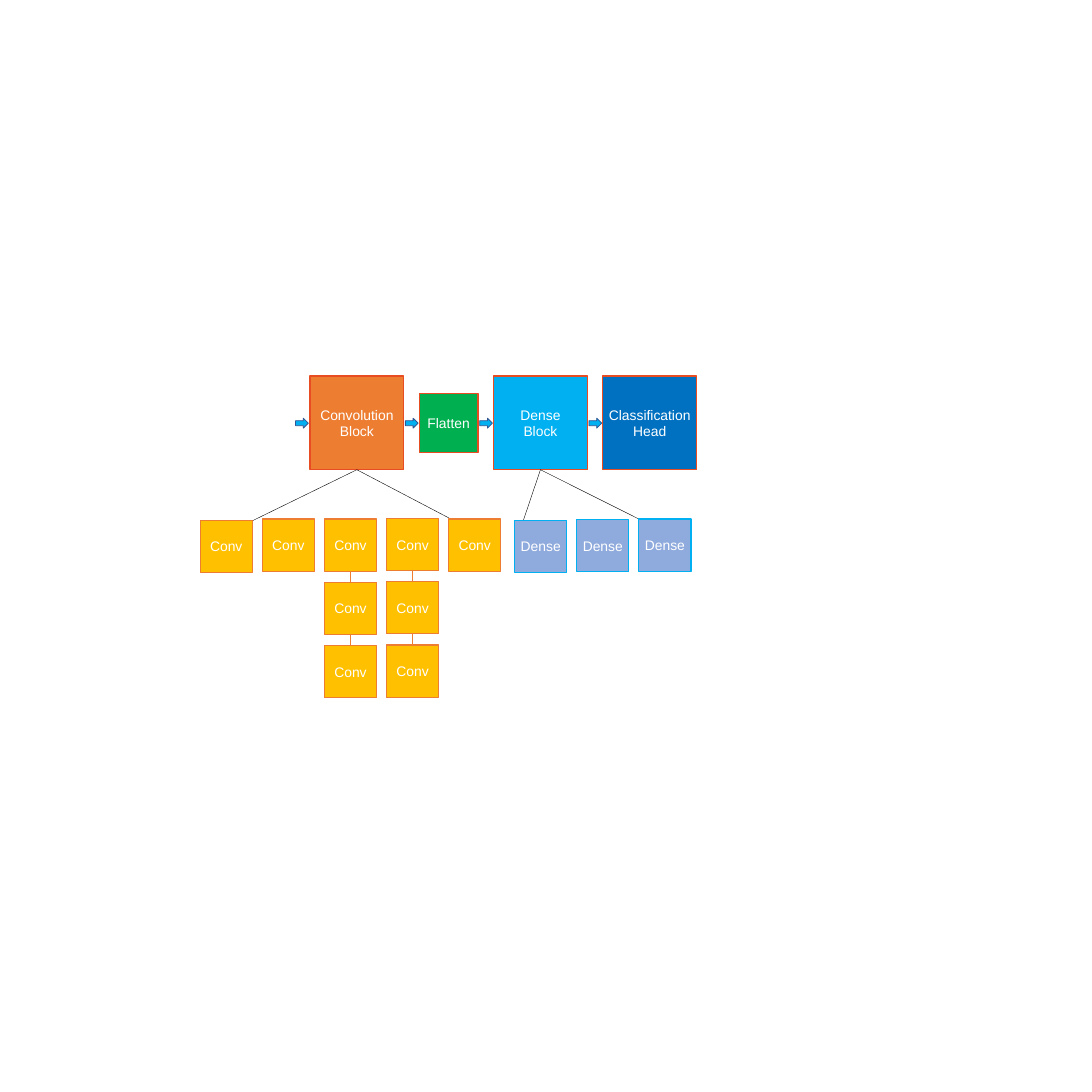
import pptx
import pptx.util
import pptx.dml.color
import pptx.enum.shapes
import pptx.enum.text
import pptx.oxml.ns
from lxml import etree

PX = 9144  # EMU per px, 100 px to the inch
SIDE = 1969
TILE, ROW_STEP, COLUMN_STEP = 94, 114, 112
TOP, BOTTOM, LEFT, RIGHT = 0, 2, 1, 3
COLORS = {
    "orange": "ED7D31", "red": "E84C22", "green": "00B050", "sky": "00B0F0",
    "blue": "0070C0", "navy": "325491", "amber": "FFC000",
    "periwinkle": "8FAADC", "black": "000000", "white": "FFFFFF",
}
SHAPES = pptx.enum.shapes.MSO_SHAPE


def px(value):
    return pptx.util.Emu(value * PX)


def color(name):
    return pptx.dml.color.RGBColor.from_string(COLORS[name])


def add_shape(page, kind, left, top, width, height, fill, line, weight):
    shape = page.shapes.add_shape(kind, px(left), px(top), px(width), px(height))
    shape.shadow.inherit = False
    shape.fill.solid()
    shape.fill.fore_color.rgb = color(fill)
    shape.line.color.rgb = color(line)
    shape.line.width = pptx.util.Pt(weight)
    return shape


def add_box(page, left, top, size, label, fill, line):
    """Square box with one centred paragraph per line of its label."""
    box = add_shape(page, SHAPES.RECTANGLE, left, top, size, size, fill, line, 1.5)
    frame = box.text_frame
    frame.word_wrap = True
    frame.margin_left = frame.margin_right = 0
    frame.vertical_anchor = pptx.enum.text.MSO_ANCHOR.MIDDLE
    for index, words in enumerate(label.split("\n")):
        para = frame.add_paragraph() if index else frame.paragraphs[0]
        para.alignment = pptx.enum.text.PP_ALIGN.CENTER
        span = para.add_run()
        span.text = words
        span.font.name = "Arial"
        span.font.size = pptx.util.Pt(18)
        span.font.color.rgb = color("white")
    return box


def add_link(page, start, start_side, end, end_side, line, front):
    """Thin line between two boxes, placed behind the front box."""
    link = page.shapes.add_connector(
        pptx.enum.shapes.MSO_CONNECTOR.STRAIGHT, 0, 0, 0, 0)
    link.begin_connect(start, start_side)
    link.end_connect(end, end_side)
    link.line.color.rgb = color(line)
    link.line.width = pptx.util.Pt(0.5)
    etree.SubElement(link.element.spPr, pptx.oxml.ns.qn("a:effectLst"))
    front.element.addprevious(link.element)


def add_tiles(page, left, tops, label, fill, line):
    return [add_box(page, left + column * COLUMN_STEP, top, TILE, label, fill, line)
            for column, top in enumerate(tops)]


def add_fan(page, block, tiles):
    """Lines from a block to the outer sides of its row of tiles."""
    for tile, side in ((tiles[0], LEFT), (tiles[-1], RIGHT)):
        add_link(page, block, BOTTOM, tile, side, "black", tiles[0])


def add_stack(page, left, top, head):
    """Two more tiles below a convolution tile, joined by a line."""
    middle, last = [
        add_box(page, left, top + row * ROW_STEP, TILE, "Conv", "amber", "orange")
        for row in (1, 2)]
    add_link(page, head, BOTTOM, last, TOP, "orange", middle)


def main():
    deck = pptx.Presentation()
    deck.slide_width = deck.slide_height = px(SIDE)
    page = deck.slides.add_slide(deck.slide_layouts[6])

    # Main pipeline
    convolution = add_box(page, 559, 678, 169, "Convolution\nBlock", "orange", "red")
    add_box(page, 756, 710, 106, "Flatten", "green", "red")
    dense = add_box(page, 890, 678, 169, "Dense\nBlock", "sky", "red")
    add_box(page, 1087, 678, 169, "Classification\nHead", "blue", "red")
    for left in (533, 731, 865, 1062):
        add_shape(page, SHAPES.RIGHT_ARROW, left, 754, 23, 18, "sky", "navy", 1)

    # Layers inside each block
    conv_left, conv_tops = 361, (938, 936, 936, 935, 936)
    conv_tiles = add_tiles(page, conv_left, conv_tops, "Conv", "amber", "orange")
    add_fan(page, convolution, conv_tiles)
    dense_tiles = add_tiles(page, 928, (938, 937, 936), "Dense", "periwinkle", "sky")
    add_fan(page, dense, dense_tiles)

    # Deeper convolution columns
    for column in (2, 3):
        add_stack(page, conv_left + column * COLUMN_STEP, conv_tops[column],
                  conv_tiles[column])

    deck.save("out.pptx")


if __name__ == "__main__":
    main()
